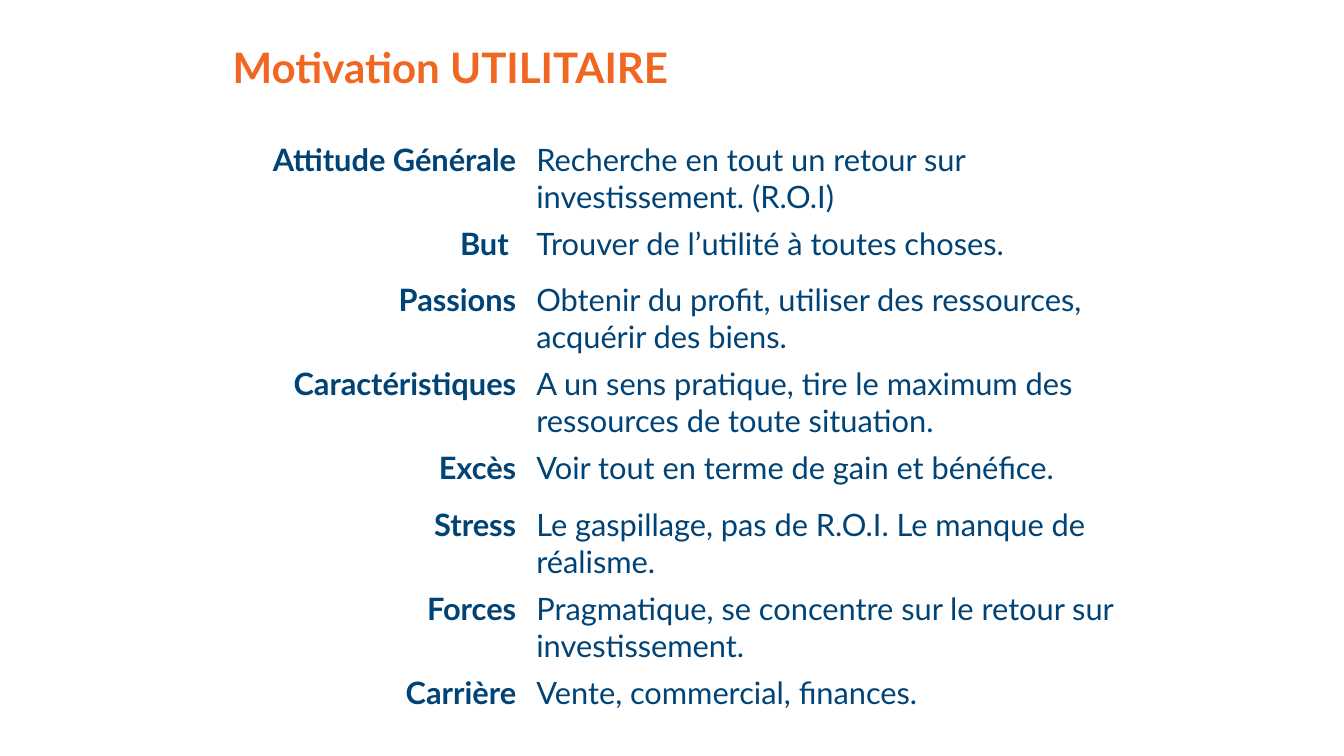
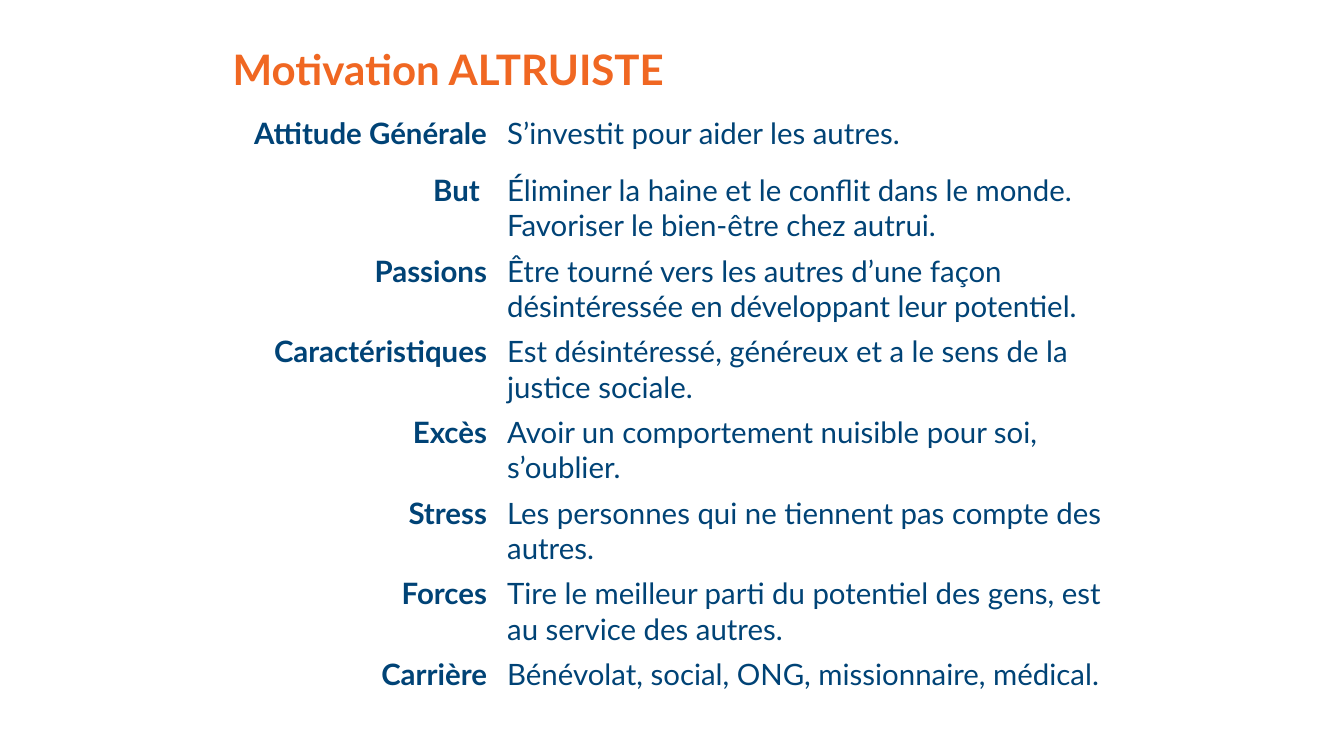
from pptx import Presentation
from pptx import util as u
from pptx.dml.color import RGBColor
from pptx.enum import text as t

FONT = "Lato"
ORANGE, NAVY, WHITE = "F06722", "004376", "FFFFFF"
SLIDE_SIZE = 13.33, 7.5
TITLE_LEFT, TITLE_WIDTH, TITLE_HEIGHT = 2.21, 9.23, 0.78
ROW_HEIGHT = 0.56

LABELS = ["Attitude Générale", "But ", "Passions", "Caractéristiques",
          "Excès", "Stress", "Forces", "Carrière"]

MOTIVATIONS = [
    {
        "title": "Motivation UTILITAIRE", "title_top": 0.3,
        "table_at": (1.92, 1.35), "columns": (3.3, 6.25), "size": 22,
        "answers": [
            "Recherche en tout un retour sur investissement. (R.O.I)",
            "Trouver de l’utilité à toutes choses.",
            "Obtenir du profit, utiliser des ressources, acquérir des biens.",
            "A un sens pratique, tire le maximum des ressources de toute situation.",
            "Voir tout en terme de gain et bénéfice.",
            "Le gaspillage, pas de R.O.I. Le manque de réalisme.",
            "Pragmatique, se concentre sur le retour sur investissement.",
            "Vente, commercial, finances.",
        ],
    },
    {
        "title": "Motivation ALTRUISTE", "title_top": 0.32,
        "table_at": (2.04, 1.1), "columns": (2.89, 6.36), "size": 21,
        "answers": [
            "S’investit pour aider les autres.",
            "Éliminer la haine et le conflit dans le monde. Favoriser le bien-être chez autrui.",
            "Être tourné vers les autres d’une façon désintéressée en développant leur potentiel.",
            "Est désintéressé, généreux et a le sens de la justice sociale.",
            "Avoir un comportement nuisible pour soi, s’oublier.",
            "Les personnes qui ne tiennent pas compte des autres.",
            "Tire le meilleur parti du potentiel des gens, est au service des autres.",
            "Bénévolat, social, ONG, missionnaire, médical.",
        ],
    },
]


def color(value):
    return RGBColor.from_string(value)


def write(frame, words, *, size, fill=NAVY, bold=False,
          align=t.PP_ALIGN.LEFT, spacing=None):
    frame.word_wrap = True
    para = frame.paragraphs[0]
    para.alignment = align
    para.line_spacing = spacing
    span = para.add_run()
    span.text = words
    span.font.name = FONT
    span.font.size = u.Pt(size)
    span.font.bold = bold
    span.font.color.rgb = color(fill)


def add_title(page, words, top):
    box = page.shapes.add_textbox(*map(u.Inches, (TITLE_LEFT, top, TITLE_WIDTH, TITLE_HEIGHT)))
    box.text_frame.vertical_anchor = t.MSO_ANCHOR.MIDDLE
    write(box.text_frame, words, size=30, fill=ORANGE, bold=True, spacing=0.9)


def add_profile(page, answers, at, columns, size):
    """Add the table that pairs each bold label with its answer."""
    extent = sum(columns), ROW_HEIGHT * len(LABELS)
    table = page.shapes.add_table(len(LABELS), len(columns),
                                  *map(u.Inches, (*at, *extent))).table
    table.first_row = table.horz_banding = False
    for column, width in zip(table.columns, columns):
        column.width = u.Inches(width)
    for row, pair in zip(table.rows, zip(LABELS, answers)):
        row.height = u.Inches(ROW_HEIGHT)
        for cell, words, is_label in zip(row.cells, pair, (True, False)):
            cell.fill.solid()
            cell.fill.fore_color.rgb = color(WHITE)
            write(cell.text_frame, words, size=size, bold=is_label,
                  align=t.PP_ALIGN.RIGHT if is_label else t.PP_ALIGN.LEFT)


def main():
    deck = Presentation()
    deck.slide_width, deck.slide_height = map(u.Inches, SLIDE_SIZE)
    for motivation in MOTIVATIONS:
        page = deck.slides.add_slide(deck.slide_layouts[6])
        add_title(page, motivation["title"], motivation["title_top"])
        add_profile(page, motivation["answers"], motivation["table_at"],
                    motivation["columns"], motivation["size"])
    deck.save("out.pptx")


if __name__ == "__main__":
    main()
